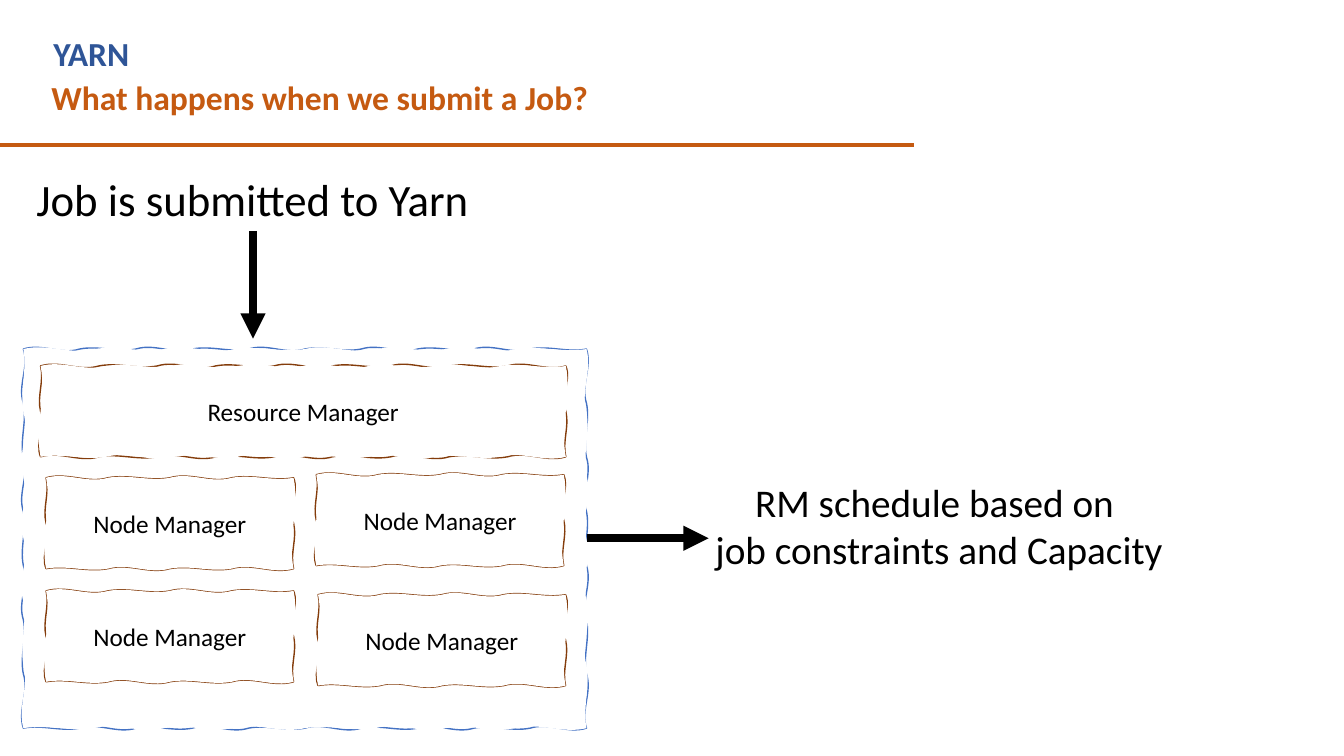
"""Build the slide on what happens when a job is submitted to YARN."""
from itertools import pairwise
from math import dist

from lxml import etree
from pptx import Presentation
from pptx.dml.color import RGBColor
from pptx.enum.shapes import MSO_CONNECTOR
from pptx.enum.text import MSO_ANCHOR, MSO_AUTO_SIZE, PP_ALIGN
from pptx.oxml.ns import qn
from pptx.util import Pt

LEFT, CENTER = PP_ALIGN.LEFT, PP_ALIGN.CENTER
TOP, MIDDLE = MSO_ANCHOR.TOP, MSO_ANCHOR.MIDDLE
GROW, FIXED = MSO_AUTO_SIZE.SHAPE_TO_FIT_TEXT, MSO_AUTO_SIZE.NONE
STRAIGHT = MSO_CONNECTOR.STRAIGHT
ORANGE, NAVY, BLUE, BROWN = "C55A11", "2F5597", "4472C4", "843C0B"
BLACK, WHITE = "000000", "FFFFFF"
FONT = "Calibri"

TITLE = ("What happens when we submit a Job?", (29.5, 51.1, 630, 36))
TOPIC = ("YARN", (31, 20.2, 590.4, 36))
NOTES = [
    (["Job is submitted to Yarn"], 32, (16.6, 118.8, 327.6, 46.1)),
    (["RM schedule based on ", "job constraints and Capacity"], 28,
     (501.8, 338.4, 337.7, 74.9)),
]
LINES = [
    ((-0.7, 103.7), (653, 103.7), ORANGE, 3, False),
    ((180.7, 164.9), (180.7, 241.9), BLACK, 6, True),
    ((419, 384.5), (506.2, 384.5), BLACK, 6, True),
]

CLUSTER, WIDE, SMALL = (402.2, 270.8), (375.2, 64.9), (176.8, 64.9)
NODE = "Node Manager"
BOXES = [
    ("", CLUSTER, BLUE, (16.7, 249.3)),
    ("Resource Manager", WIDE, BROWN, (29, 261.4)),
    (NODE, SMALL, BROWN, (32.9, 341.3)),
    (NODE, SMALL, BROWN, (225.9, 339.1)),
    (NODE, SMALL, BROWN, (32.9, 422.1)),
    (NODE, SMALL, BROWN, (227.2, 424.8)),
]
EDGE_STEP, BODY_STEP, SWAY = 40, 48, 2.7


def color(code):
    return RGBColor.from_string(code)


def write(shape, lines, size=24, ink=BLACK, bold=False, align=CENTER,
          anchor=TOP, wrap=True, fit=GROW):
    frame = shape.text_frame
    frame.text = "\n".join(lines)
    frame.word_wrap, frame.auto_size = wrap, fit
    frame.vertical_anchor = anchor
    for para in frame.paragraphs:
        para.alignment = align
        font = para.font
        font.name, font.size, font.bold = FONT, Pt(size), bold
        font.color.rgb = color(ink)


def wave_side(start, end, step):
    length = dist(start, end)
    along = [(b - a) / length for a, b in zip(start, end)]
    out = (along[1], -along[0])
    count = max(1, round(length / step))
    pace = length / count

    def spot(run, shift):
        return tuple(a + run * d + shift * n for a, d, n in zip(start, along, out))

    for turn in range(count):
        sway = SWAY * (1 if turn % 2 else 1.6)
        yield [spot((turn + part) * pace, side * sway)
               for part, side in ((1 / 3, 1), (2 / 3, -1), (1, 0))]


def add_step(path, kind, spots):
    step = etree.SubElement(path, qn("a:" + kind))
    for x, y in spots:
        etree.SubElement(step, qn("a:pt"), x=str(Pt(x)), y=str(Pt(y)))


def add_path(paths, size, step, **attrs):
    wide, high = size
    path = etree.SubElement(paths, qn("a:path"), w=str(Pt(wide)), h=str(Pt(high)), **attrs)
    corners = [(0, 0), (wide, 0), (wide, high), (0, high), (0, 0)]
    add_step(path, "moveTo", corners[:1])
    for start, end in pairwise(corners):
        for curve in wave_side(start, end, step):
            add_step(path, "cubicBezTo", curve)
    add_step(path, "close", [])


def add_box(shapes, label, size, ink, place):
    wide, high = map(Pt, size)
    form = shapes.build_freeform(0, 0)
    form.add_line_segments([(wide, 0), (wide, high), (0, high)])
    box = form.convert_to_shape(*map(Pt, place))
    paths = box.element.spPr.find(".//" + qn("a:pathLst"))
    paths.remove(paths[0])
    add_path(paths, size, EDGE_STEP, fill="none")
    add_path(paths, size, BODY_STEP, stroke="0")
    box.shadow.inherit = False
    box.fill.solid()
    box.fill.fore_color.rgb = color(WHITE)
    box.line.color.rgb = color(ink)
    box.line.width = Pt(1)
    if label:
        write(box, [label], size=18, anchor=MIDDLE, fit=FIXED)


def add_line(shapes, start, end, ink, width, arrow):
    link = shapes.add_connector(STRAIGHT, *map(Pt, start + end))
    link.line.color.rgb = color(ink)
    link.line.width = Pt(width)
    if arrow:
        edge = link.element.spPr.find(qn("a:ln"))
        etree.SubElement(edge, qn("a:tailEnd"), type="triangle")
    etree.SubElement(link.element.spPr, qn("a:effectLst"))


def main():
    deck = Presentation()
    deck.slide_width, deck.slide_height = Pt(960), Pt(540)
    shapes = deck.slides.add_slide(deck.slide_layouts[5]).shapes
    title, (text, place) = shapes.title, TITLE
    title.left, title.top, title.width, title.height = map(Pt, place)
    write(title, [text], ink=ORANGE, bold=True, align=LEFT)
    text, place = TOPIC
    write(shapes.add_textbox(*map(Pt, place)), [text], ink=NAVY, bold=True, align=LEFT)
    for lines, size, place in NOTES:
        write(shapes.add_textbox(*map(Pt, place)), lines, size=size, wrap=False)
    for box in BOXES:
        add_box(shapes, *box)
    for line in LINES:
        add_line(shapes, *line)
    deck.save("out.pptx")


if __name__ == "__main__":
    main()
